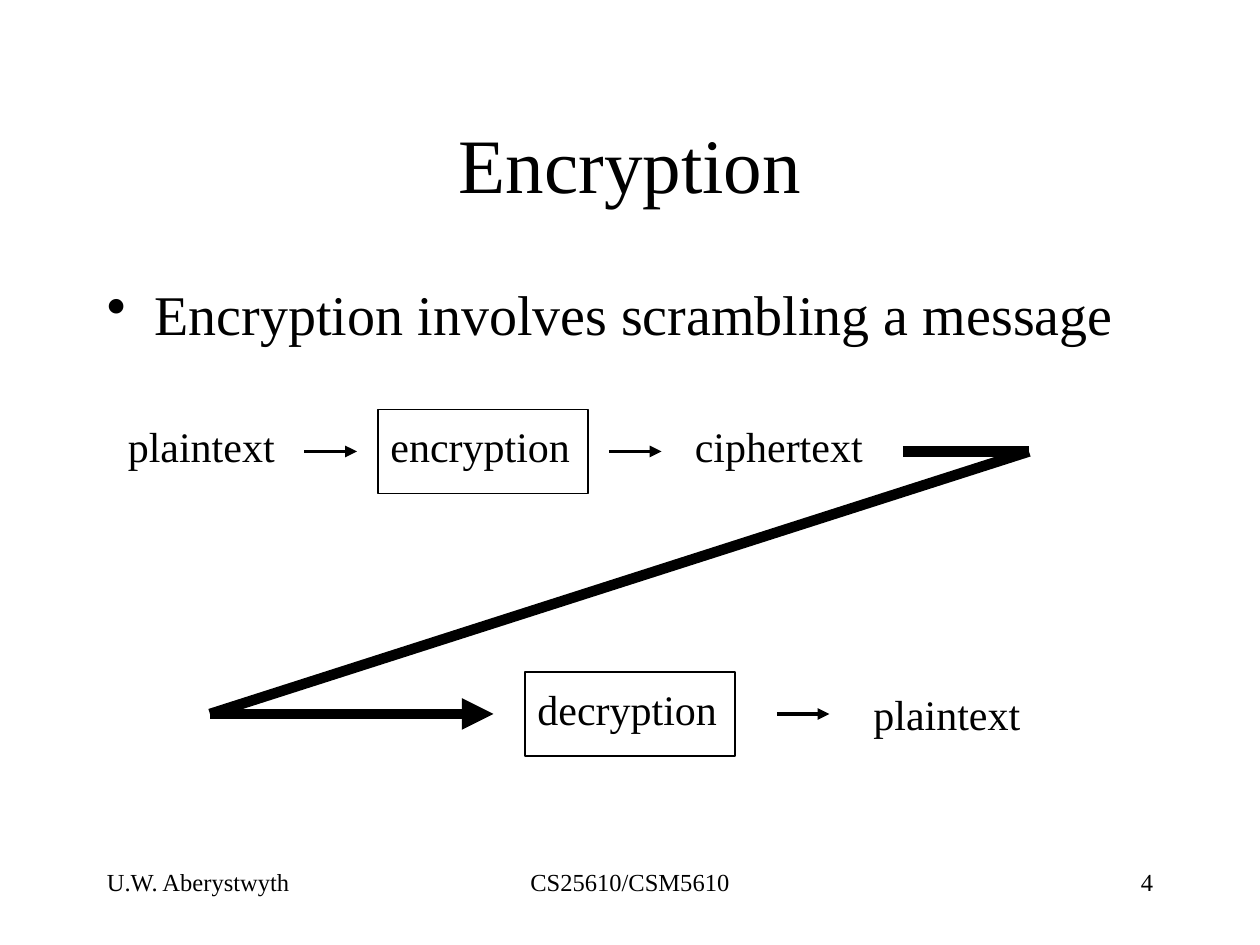
from dataclasses import dataclass
from itertools import pairwise

from lxml.etree import SubElement
from pptx import Presentation
from pptx.dml.color import RGBColor
from pptx.enum.shapes import MSO_CONNECTOR, MSO_SHAPE
from pptx.enum.text import MSO_ANCHOR, PP_ALIGN
from pptx.oxml.ns import qn
from pptx.util import Inches, Pt


@dataclass(frozen=True)
class Theme:
    """Colours, type sizes and line widths of the slide."""
    ink: RGBColor = RGBColor(0, 0, 0)
    paper: RGBColor = RGBColor(255, 255, 255)
    font: str = "Times New Roman"
    title: int = 44
    body: int = 32
    label: int = 24
    footer: int = 14
    outline: float = 0.75
    arrow: float = 2.25
    channel: int = 6


THEME = Theme()
COLS, ROWS = 120, 90
WIDTH, HEIGHT = Inches(10), Inches(7.5)


def place(col, row):
    """Turn a grid position or size into slide lengths."""
    return round(WIDTH * col / COLS), round(HEIGHT * row / ROWS)


def write(sp, text, size, align=PP_ALIGN.LEFT, anchor=MSO_ANCHOR.TOP):
    """Write one run into a shape and return its paragraph."""
    tf = sp.text_frame
    tf.word_wrap = True
    tf.vertical_anchor = anchor
    p = tf.paragraphs[0]
    p.alignment = align
    r = p.add_run()
    r.text = text
    r.font.name = THEME.font
    r.font.size = Pt(size)
    r.font.color.rgb = THEME.ink
    return p


def add_text(s, box, text, size, align=PP_ALIGN.LEFT):
    """Add a text box on the grid and return its paragraph."""
    col, row, cols, rows = box
    sp = s.shapes.add_textbox(*place(col, row), *place(cols, rows))
    return write(sp, text, size, align)


def add_line(s, start, end, width, arrow=False):
    """Draw a straight line between two grid points."""
    sp = s.shapes.add_connector(MSO_CONNECTOR.STRAIGHT, *place(*start), *place(*end))
    sp.line.color.rgb = THEME.ink
    sp.line.width = Pt(width)
    if arrow:
        SubElement(sp.line._get_or_add_ln(), qn("a:tailEnd"), type="triangle")
    SubElement(sp._element.spPr, qn("a:effectLst"))


def add_process(s, box, text):
    """Draw an outlined process box with its label."""
    col, row, cols, rows = box
    sp = s.shapes.add_shape(MSO_SHAPE.RECTANGLE, *place(col, row), *place(cols, rows))
    sp.shadow.inherit = False
    sp.fill.background()
    sp.line.color.rgb = THEME.ink
    sp.line.width = Pt(THEME.outline)
    sp.text_frame.margin_top = Inches(0.09)
    write(sp, text, THEME.label)


def add_title(s, box, text):
    """Place and format the title placeholder."""
    col, row, cols, rows = box
    sp = s.shapes.title
    sp.left, sp.top = place(col, row)
    sp.width, sp.height = place(cols, rows)
    write(sp, text, THEME.title, PP_ALIGN.CENTER, MSO_ANCHOR.MIDDLE)


def add_body(s, box, text):
    """Add the bulleted statement."""
    p = add_text(s, box, text, THEME.body)
    pPr = p._p.get_or_add_pPr()
    pPr.set("marL", str(Inches(0.38)))
    pPr.set("indent", str(-Inches(0.38)))
    SubElement(pPr, qn("a:buChar"), char="•")


def add_flow(s, box, process, labels, arrows):
    """Lay out one row of the diagram around its process box."""
    left, top, _, rows = box
    offset, text = process
    add_process(s, (left + offset, top, 20, rows), text)
    for offset, drop, cols, text in labels:
        add_text(s, (left + offset, top + drop, cols, 6), text, THEME.label)
    for offset in arrows:
        y = top + rows / 2
        add_line(s, (left + offset, y), (left + offset + 5, y), THEME.arrow, True)


def add_channel(s, box):
    """Draw the heavy zigzag from the upper row to the lower row."""
    left, top, cols, rows = box
    right, bottom = left + cols, top + rows
    points = [(right - 12, top), (right, top), (left, bottom), (left + 27, bottom)]
    for start, end in pairwise(points):
        add_line(s, start, end, THEME.channel, end == points[-1])


def add_footer(s, box, texts):
    """Spread the three footer texts over the box."""
    left, top, cols, rows = box
    parts = [
        (0, 25, PP_ALIGN.LEFT),
        ((cols - 38) / 2, 38, PP_ALIGN.CENTER),
        (cols - 25, 25, PP_ALIGN.RIGHT),
    ]
    for (offset, span, align), text in zip(parts, texts):
        add_text(s, (left + offset, top, span, rows), text, THEME.footer, align)


def main():
    """Build and save the slide."""
    prs = Presentation()
    prs.slide_width, prs.slide_height = WIDTH, HEIGHT
    s = prs.slides.add_slide(prs.slide_layouts[5])
    s.background.fill.solid()
    s.background.fill.fore_color.rgb = THEME.paper
    add_title(s, (9, 8, 102, 15), "Encryption")
    add_body(s, (9, 26, 102, 54), "Encryption involves scrambling a message")
    add_channel(s, (20, 43, 78, 25))
    add_flow(s, (11, 39, 73, 8), (25, "encryption"),
             [(0, 0.5, 17, "plaintext"), (54, 0.5, 19, "ciphertext")], [18, 47])
    add_flow(s, (50, 64, 49, 8), (0, "decryption"), [(32, 1, 17, "plaintext")], [24])
    add_footer(s, (9, 82, 102, 6), ["U.W. Aberystwyth", "CS25610/CSM5610", "4"])
    prs.save("out.pptx")


if __name__ == "__main__":
    main()
